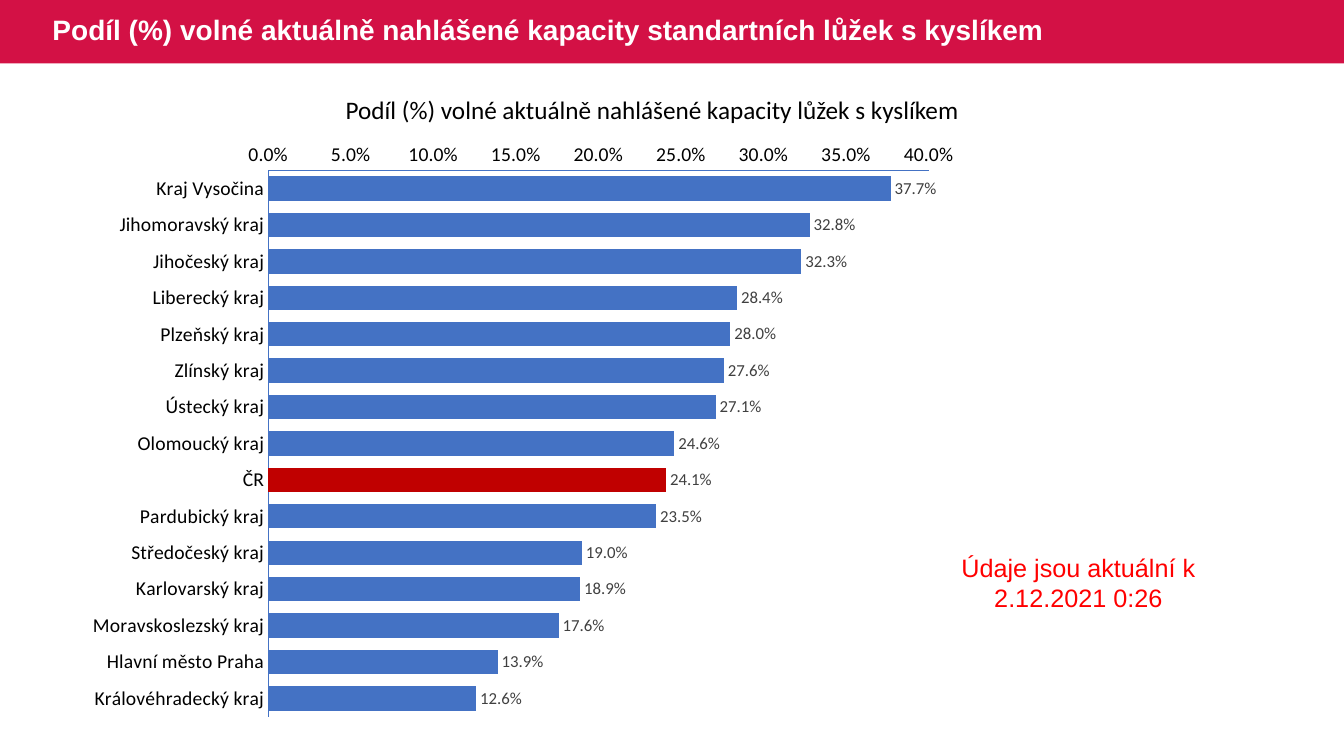
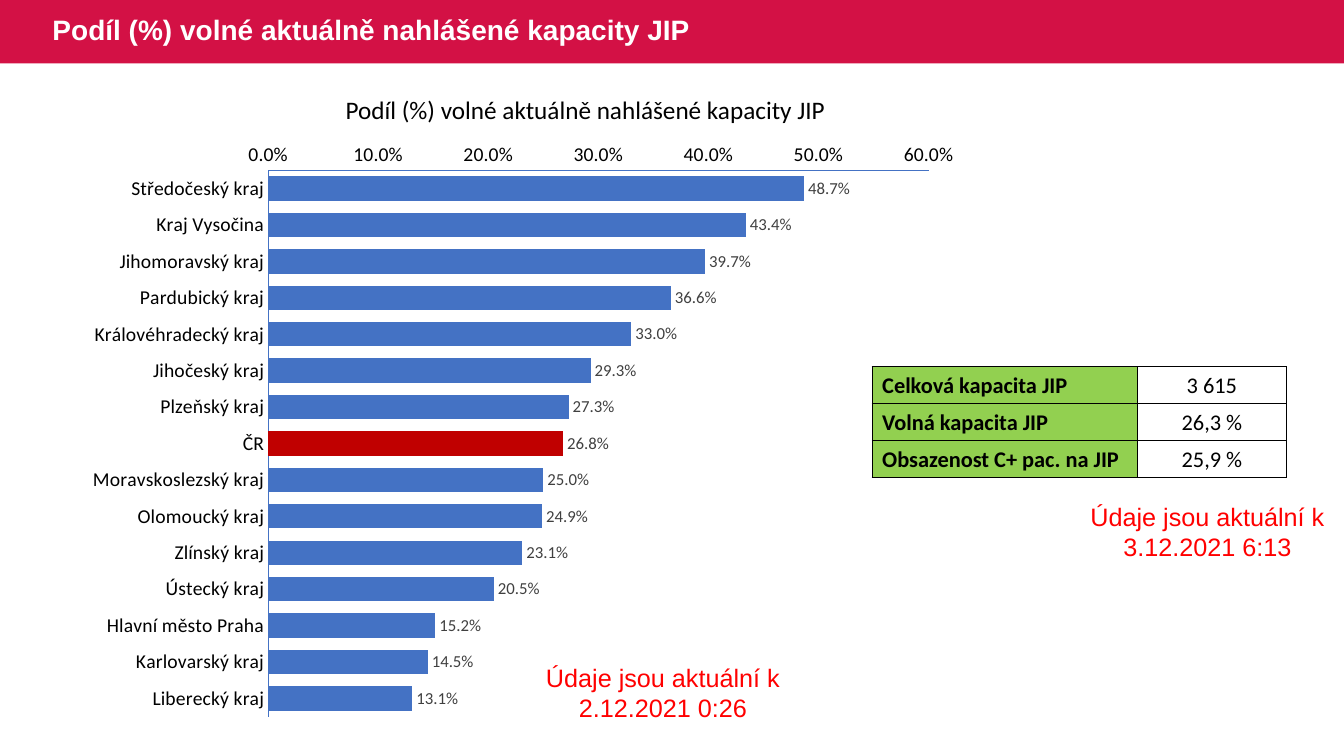
"""Build two slides on the share of free hospital bed capacity by Czech region."""
from dataclasses import dataclass

from lxml import etree
from pptx import Presentation
from pptx import util as u
from pptx.chart import data as chart_data
from pptx.dml import color
from pptx.enum import chart as ce
from pptx.enum import shapes, text
from pptx.oxml import ns

Inches = u.Inches


@dataclass(frozen=True)
class Theme:
    band: str = "D31145"
    bar: str = "4472C4"
    country: str = "C00000"
    ink: str = "000000"
    value: str = "404040"
    paper: str = "FFFFFF"
    update: str = "FF0000"
    label: str = "92D050"
    heading_font: str = "Arial"
    data_font: str = "Calibri"
    title_size: int = 20
    caption_size: int = 18
    cell_size: int = 16
    axis_size: int = 14
    value_size: int = 12


THEME = Theme()
SLIDE_SIZE = (13.33, 7.5)
BAND_HEIGHT = 0.63
TITLE_BOX = (0.42, 0, 11.56, BAND_HEIGHT)
CHART_BOX = (0.74, 1.3, 8.89, 5.93)
PLOT_BOX = (2.66, 1.69, 6.55, 5.42)
CAPTION_AT = (3.33, 0.89)
UPDATE_SIZE = (2.55, 0.71)
TABLE_BOX = (8.65, 3.64, 4.11, 1.1)
TABLE_COLUMNS = (2.63, 1.48)
COUNTRY = "ČR"
UPDATE_TEXT = "Údaje jsou aktuální k {}"

SLIDES = [
    {
        "title": "Podíl (%) volné aktuálně nahlášené kapacity standartních lůžek s kyslíkem",
        "caption": "Podíl (%) volné aktuálně nahlášené kapacity lůžek s kyslíkem",
        "caption_width": 6.35,
        "axis": (0.4, 0.05),
        "shares": [
            ("Kraj Vysočina", 0.377), ("Jihomoravský kraj", 0.328),
            ("Jihočeský kraj", 0.323), ("Liberecký kraj", 0.284),
            ("Plzeňský kraj", 0.28), ("Zlínský kraj", 0.276),
            ("Ústecký kraj", 0.271), ("Olomoucký kraj", 0.246),
            (COUNTRY, 0.241), ("Pardubický kraj", 0.235),
            ("Středočeský kraj", 0.19), ("Karlovarský kraj", 0.189),
            ("Moravskoslezský kraj", 0.176), ("Hlavní město Praha", 0.139),
            ("Královéhradecký kraj", 0.126),
        ],
        "table": [],
        "updates": [("2.12.2021 0:26", 9.42, 5.43)],
    },
    {
        "title": "Podíl (%) volné aktuálně nahlášené kapacity JIP",
        "caption": "Podíl (%) volné aktuálně nahlášené kapacity JIP",
        "caption_width": 5.13,
        "axis": (0.6, 0.1),
        "shares": [
            ("Středočeský kraj", 0.487), ("Kraj Vysočina", 0.434),
            ("Jihomoravský kraj", 0.397), ("Pardubický kraj", 0.366),
            ("Královéhradecký kraj", 0.33), ("Jihočeský kraj", 0.293),
            ("Plzeňský kraj", 0.273), (COUNTRY, 0.268),
            ("Moravskoslezský kraj", 0.25), ("Olomoucký kraj", 0.249),
            ("Zlínský kraj", 0.231), ("Ústecký kraj", 0.205),
            ("Hlavní město Praha", 0.152), ("Karlovarský kraj", 0.145),
            ("Liberecký kraj", 0.131),
        ],
        "table": [
            ("Celková kapacita JIP", "3 615"),
            ("Volná kapacita JIP", "26,3 %"),
            ("Obsazenost C+ pac. na JIP", "25,9 %"),
        ],
        "updates": [("3.12.2021 6:13", 10.7, 4.92), ("2.12.2021 0:26", 5.3, 6.52)],
    },
]


def inches(*lengths):
    return [Inches(length) for length in lengths]


def rgb(code):
    return color.RGBColor.from_string(code)


def paint(fill, code):
    fill.solid()
    fill.fore_color.rgb = rgb(code)


def style_font(font, size, code=THEME.ink, name=THEME.data_font, bold=False):
    font.size, font.name, font.bold = u.Pt(size), name, bold
    font.color.rgb = rgb(code)


def write(frame, words, align=text.PP_ALIGN.LEFT, spacing=None, **font_format):
    paragraph = frame.paragraphs[0]
    paragraph.alignment = align
    paragraph.line_spacing = spacing
    run = paragraph.add_run()
    run.text = words
    style_font(run.font, **font_format)


def add_words(slide, box, words, wrap=True, **text_format):
    frame = slide.shapes.add_textbox(*inches(*box)).text_frame
    frame.word_wrap = wrap
    frame.auto_size = text.MSO_AUTO_SIZE.SHAPE_TO_FIT_TEXT
    write(frame, words, **text_format)


def move_band_to_layout(slide, layout):
    band = slide.shapes.add_shape(
        shapes.MSO_SHAPE.RECTANGLE, *inches(0, 0, SLIDE_SIZE[0], BAND_HEIGHT))
    band.shadow.inherit = False
    paint(band.fill, THEME.band)
    band.line.fill.background()
    layout.shapes.element.insert(2, band.element)


def place_plot(chart):
    plot_area = chart.element.find(".//" + ns.qn("c:plotArea"))
    for automatic in plot_area.findall(ns.qn("c:layout")):
        plot_area.remove(automatic)
    layout = etree.Element(ns.qn("c:layout"))
    manual = etree.SubElement(layout, ns.qn("c:manualLayout"))
    left, top, width, height = CHART_BOX
    settings = {
        "layoutTarget": "inner", "xMode": "edge", "yMode": "edge",
        "x": (PLOT_BOX[0] - left) / width, "y": (PLOT_BOX[1] - top) / height,
        "w": PLOT_BOX[2] / width, "h": PLOT_BOX[3] / height,
    }
    for tag, setting in settings.items():
        etree.SubElement(manual, ns.qn("c:" + tag)).set("val", str(setting))
    plot_area.insert(0, layout)


def add_shares(slide, shares, axis_range):
    regions, values = zip(*shares)
    source = chart_data.CategoryChartData(number_format="0.0%")
    source.categories = regions
    source.add_series("Series 1", values)
    chart = slide.shapes.add_chart(
        ce.XL_CHART_TYPE.BAR_CLUSTERED, *inches(*CHART_BOX), source).chart
    chart.has_legend = chart.has_title = False
    style_font(chart.font, 10)

    for axis in (chart.category_axis, chart.value_axis):
        axis.has_major_gridlines = False
        axis.major_tick_mark = axis.minor_tick_mark = ce.XL_TICK_MARK.NONE
        axis.format.line.color.rgb = rgb(THEME.bar)
        axis.format.line.width = u.Pt(0.75)
        style_font(axis.tick_labels.font, THEME.axis_size)
    chart.category_axis.reverse_order = True
    scale = chart.value_axis
    scale.minimum_scale = 0
    scale.maximum_scale, scale.major_unit = axis_range
    scale.tick_labels.number_format = "0.0%"
    scale.tick_labels.number_format_is_linked = False

    plot = chart.plots[0]
    plot.gap_width = 50
    plot.vary_by_categories = False
    series = plot.series[0]
    paint(series.format.fill, THEME.bar)
    paint(series.points[regions.index(COUNTRY)].format.fill, THEME.country)
    labels = series.data_labels
    labels.show_value = True
    labels.position = ce.XL_LABEL_POSITION.OUTSIDE_END
    labels.number_format = "0.0%"
    labels.number_format_is_linked = False
    style_font(labels.font, THEME.value_size, THEME.value)
    place_plot(chart)


def outline(cell):
    properties = cell._tc.get_or_add_tcPr()
    for side in ("a:lnL", "a:lnR", "a:lnT", "a:lnB"):
        border = etree.SubElement(properties, ns.qn(side), w=str(u.Pt(0.75)))
        fill = etree.SubElement(border, ns.qn("a:solidFill"))
        etree.SubElement(fill, ns.qn("a:srgbClr"), val=THEME.ink)


def add_capacity(slide, rows):
    table = slide.shapes.add_table(
        len(rows), len(TABLE_COLUMNS), *inches(*TABLE_BOX)).table
    table.first_row = table.horz_banding = False
    for column, width in zip(table.columns, TABLE_COLUMNS):
        column.width = Inches(width)
    for row_index, row in enumerate(rows):
        for column_index, words in enumerate(row):
            cell = table.cell(row_index, column_index)
            is_label = column_index == 0
            outline(cell)
            paint(cell.fill, THEME.label if is_label else THEME.paper)
            if not is_label:
                cell.vertical_anchor = text.MSO_ANCHOR.MIDDLE
            write(cell.text_frame, words, size=THEME.cell_size, bold=is_label,
                  align=text.PP_ALIGN.LEFT if is_label else text.PP_ALIGN.CENTER)


def add_slide(deck, layout, content):
    slide = deck.slides.add_slide(layout)
    frame = slide.shapes.title.text_frame
    frame.vertical_anchor = text.MSO_ANCHOR.MIDDLE
    write(frame, content["title"], spacing=0.9, size=THEME.title_size,
          code=THEME.paper, name=THEME.heading_font, bold=True)
    add_shares(slide, content["shares"], content["axis"])
    add_words(slide, (*CAPTION_AT, content["caption_width"], 0.4),
              content["caption"], wrap=False, size=THEME.caption_size)
    if content["table"]:
        add_capacity(slide, content["table"])
    for moment, left, top in content["updates"]:
        add_words(slide, (left, top, *UPDATE_SIZE), UPDATE_TEXT.format(moment),
                  align=text.PP_ALIGN.CENTER, size=THEME.caption_size,
                  code=THEME.update, name=THEME.heading_font)
    return slide


def main():
    deck = Presentation()
    deck.slide_width, deck.slide_height = inches(*SLIDE_SIZE)
    layout = deck.slide_layouts.get_by_name("Title Only")
    heading = layout.placeholders[0]
    heading.left, heading.top, heading.width, heading.height = inches(*TITLE_BOX)
    built = [add_slide(deck, layout, content) for content in SLIDES]
    move_band_to_layout(built[0], layout)
    deck.save("out.pptx")


if __name__ == "__main__":
    main()
